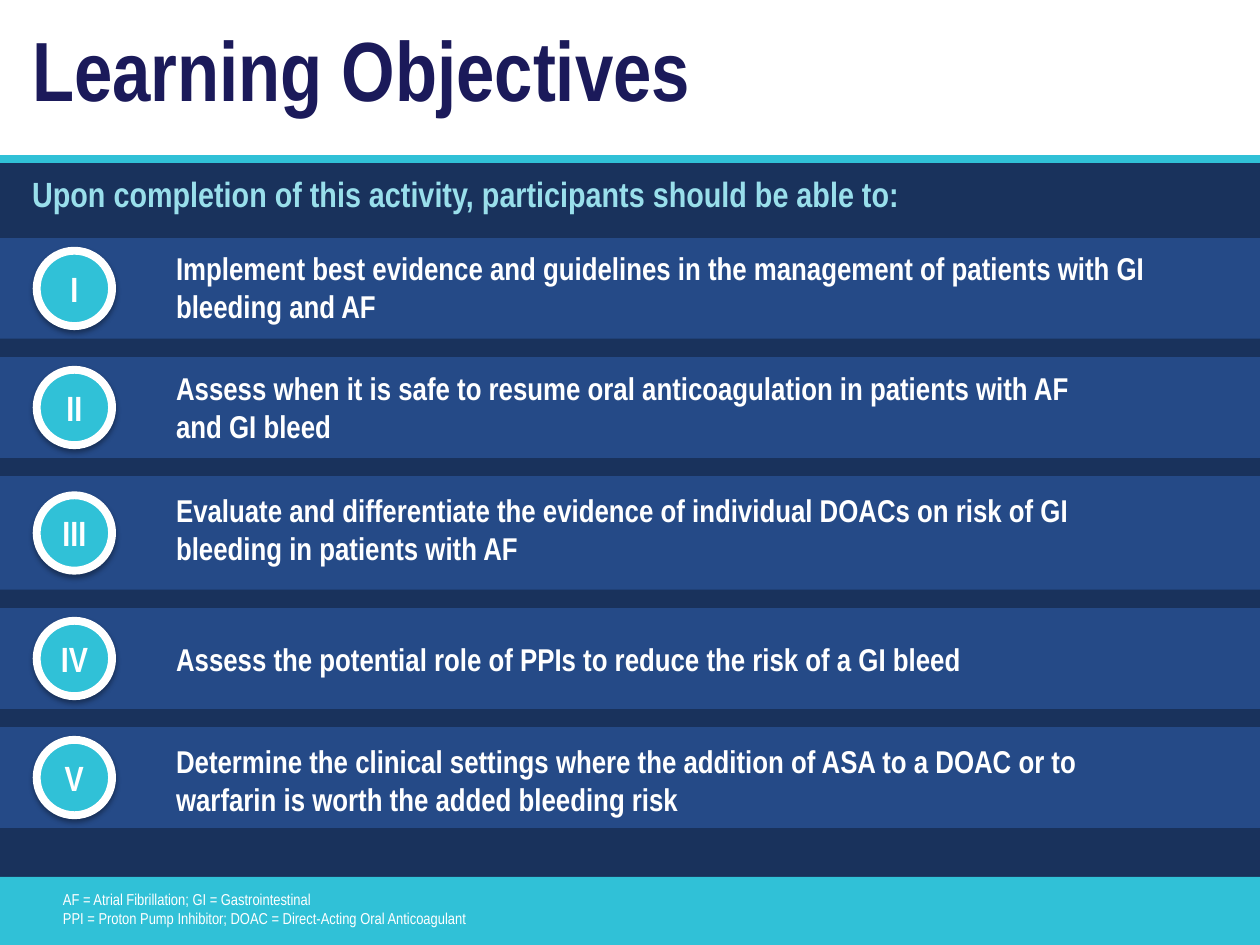
from lxml.etree import SubElement
from pptx import Presentation
from pptx.dml.color import RGBColor
from pptx.enum.shapes import MSO_CONNECTOR, MSO_SHAPE as SHAPE
from pptx.enum.text import MSO_ANCHOR, PP_ALIGN
from pptx.oxml.ns import qn
from pptx.util import Cm, Pt

FONT = "Arial Narrow"
COLORS = {
    "navy": "19325C",
    "band": "254A87",
    "cyan": "30C1D7",
    "pale": "99DFEB",
    "title": "1B1A5A",
    "white": "FFFFFF",
    "shadow": "000000",
}
WIDTH, HEIGHT = 25.4, 19.05
PANEL_TOP, FOOTER_TOP = 3.2, 17.68
FIRST_BAND, BAND_GAP = 4.8, 0.37
BADGE_LEFT, BADGE_SIZE = 0.74, 1.52
TEXT_LEFT = 3.3

# numeral, text, band height, text offset, text width, text height
OBJECTIVES = [
    ("I", "Implement best evidence and guidelines in the management of patients with GI bleeding and AF",
     2.03, 0.1, 22.1, 1.8),
    ("II", "Assess when it is safe to resume oral anticoagulation in patients with AF and GI bleed",
     2.03, 0.12, 19.43, 1.8),
    ("III", "Evaluate and differentiate the evidence of individual DOACs on risk of GI bleeding in patients with AF",
     2.29, 0.18, 20.09, 1.8),
    ("IV", "Assess the potential role of PPIs to reduce the risk of a GI bleed",
     2.03, 0.52, 20.09, 1.02),
    ("V", "Determine the clinical settings where the addition of ASA to a DOAC or to warfarin is worth the added bleeding risk",
     2.03, 0.17, 20.09, 1.8),
]
ABBREVIATIONS = [
    "AF = Atrial Fibrillation; GI = Gastrointestinal",
    "PPI = Proton Pump Inhibitor; DOAC = Direct-Acting Oral Anticoagulant",
]


def rgb(name):
    return RGBColor.from_string(COLORS[name])


def style(p, size, color, bold=True):
    p.font.name = FONT
    p.font.size = Pt(size)
    p.font.bold = bold
    p.font.color.rgb = rgb(color)


def add_shadow(sp):
    effects = SubElement(sp._element.spPr, qn("a:effectLst"))
    shadow = SubElement(effects, qn("a:outerShdw"), blurRad=str(Pt(3.1)),
                        dist=str(Pt(1.8)), dir="5400000", rotWithShape="0")
    color = SubElement(shadow, qn("a:srgbClr"), val=COLORS["shadow"])
    SubElement(color, qn("a:alpha"), val="35000")


def add_solid(s, kind, left, top, width, height, color, shadow=False):
    sp = s.shapes.add_shape(kind, Cm(left), Cm(top), Cm(width), Cm(height))
    sp.fill.solid()
    sp.fill.fore_color.rgb = rgb(color)
    sp.line.fill.background()
    if shadow:
        add_shadow(sp)
    else:
        sp.shadow.inherit = False
    return sp


def add_bar(s, top, height, color, shadow=False):
    add_solid(s, SHAPE.RECTANGLE, 0, top, WIDTH, height, color, shadow)


def add_rule(s, top, color, weight):
    line = s.shapes.add_connector(MSO_CONNECTOR.STRAIGHT, 0, Cm(top), Cm(WIDTH), Cm(top))
    line.line.color.rgb = rgb(color)
    line.line.width = Pt(weight)
    SubElement(line._element.spPr, qn("a:effectLst"))


def add_text(s, left, top, width, height, lines, size, color, bold=True):
    tf = s.shapes.add_textbox(Cm(left), Cm(top), Cm(width), Cm(height)).text_frame
    tf.word_wrap = True
    tf.text = "\n".join(lines)
    for p in tf.paragraphs:
        style(p, size, color, bold)


def add_badge(s, top, numeral):
    sp = add_solid(s, SHAPE.FLOWCHART_CONNECTOR, BADGE_LEFT, top,
                   BADGE_SIZE, BADGE_SIZE, "cyan", shadow=True)
    sp.line.color.rgb = rgb("white")
    sp.line.width = Pt(4.5)
    tf = sp.text_frame
    tf.margin_left = tf.margin_right = 0
    tf.vertical_anchor = MSO_ANCHOR.MIDDLE
    p = tf.paragraphs[0]
    p.text = numeral
    p.alignment = PP_ALIGN.CENTER
    style(p, 20, "white")


def add_objectives(s):
    top = FIRST_BAND
    for numeral, text, height, offset, text_width, text_height in OBJECTIVES:
        add_bar(s, top, height, "band")
        add_badge(s, top + (height - BADGE_SIZE) / 2, numeral)
        add_text(s, TEXT_LEFT, top + offset, text_width, text_height, [text], 18, "white")
        top += height + BAND_GAP


def main():
    prs = Presentation()
    prs.slide_width, prs.slide_height = Cm(WIDTH), Cm(HEIGHT)
    s = prs.slides.add_slide(prs.slide_layouts[6])

    add_bar(s, PANEL_TOP, FOOTER_TOP - PANEL_TOP, "navy")
    add_bar(s, FOOTER_TOP, HEIGHT - FOOTER_TOP, "cyan", shadow=True)
    add_rule(s, PANEL_TOP, "cyan", 4.5)
    add_text(s, 0.4, 0.23, 22.4, 2.31, ["Learning Objectives"], 48, "title")
    add_text(s, 0.4, 3.35, 23.88, 1.22,
             ["Upon completion of this activity, participants should be able to:"], 20, "pale")
    add_objectives(s)
    add_text(s, 1.02, 17.82, 12.88, 1.27, ABBREVIATIONS, 9, "white", bold=False)

    prs.save("out.pptx")


if __name__ == "__main__":
    main()
